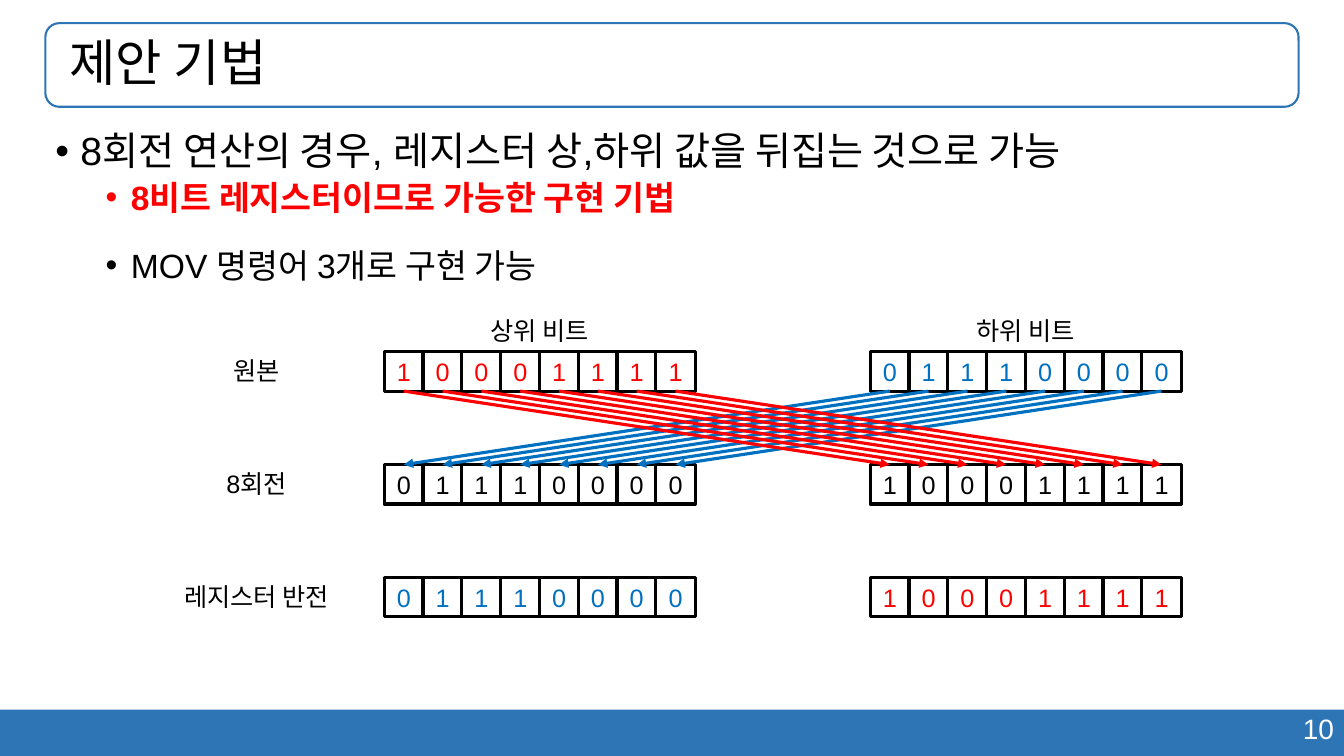
from dataclasses import dataclass
from lxml import etree
from pptx import Presentation
from pptx import util as u
from pptx.dml.color import RGBColor
from pptx.enum import shapes, text
from pptx.oxml import ns

KIND = shapes.MSO_SHAPE
SIDE = text.PP_ALIGN
MID = text.MSO_ANCHOR.MIDDLE
TOP = text.MSO_ANCHOR.TOP


@dataclass(frozen=True)
class Theme:
    font: str = "Arial"
    black: str = "000000"
    white: str = "FFFFFF"
    red: str = "FF0000"
    blue: str = "0070C0"
    bar: str = "2E75B6"
    title: int = 36
    main: int = 28
    sub: int = 24
    page: int = 20
    label: int = 18
    thin: float = 1.5
    thick: float = 2.25


def rgb(code):
    return RGBColor.from_string(code)


def add(node, tag, **attrs):
    return etree.SubElement(node, ns.qn(tag), **attrs)


def write(para, words, *, font, size, color, bold=False, align=SIDE.LEFT,
          gap=0, space=1.0, indent=None):
    para.alignment = align
    para.line_spacing = space
    para.space_before = u.Pt(gap)
    if indent is not None:
        props = para._p.get_or_add_pPr()
        props.set("marL", str(u.Inches(indent)))
        props.set("indent", str(u.Inches(-0.25)))
        add(props, "a:buFont", typeface=font)
        add(props, "a:buChar", char="•")
    run = para.add_run()
    run.text = words
    run.font.name = font
    run.font.size = u.Pt(size)
    run.font.bold = bold
    run.font.color.rgb = rgb(color)


class Board:
    def __init__(self, slide, theme):
        self.slide = slide
        self.theme = theme

    def set_up(self, frame, anchor=TOP, side=0.1, edge=0.05):
        frame.word_wrap = True
        frame.auto_size = text.MSO_AUTO_SIZE.NONE
        frame.vertical_anchor = anchor
        frame.margin_left = frame.margin_right = u.Inches(side)
        frame.margin_top = frame.margin_bottom = u.Inches(edge)

    def shape(self, kind, box, fill=None, line=None, width=1):
        item = self.slide.shapes.add_shape(kind, *map(u.Inches, box))
        item.shadow.inherit = False
        if fill:
            item.fill.solid()
            item.fill.fore_color.rgb = rgb(fill)
        else:
            item.fill.background()
        if line:
            item.line.color.rgb = rgb(line)
            item.line.width = u.Pt(width)
        else:
            item.line.fill.background()
        return item

    def title(self, words, box):
        t = self.theme
        item = self.slide.shapes.title
        item.left, item.top, item.width, item.height = map(u.Inches, box)
        frame = item.text_frame
        self.set_up(frame, MID)
        frame.margin_left = u.Inches(0.24)
        write(frame.paragraphs[0], words, font=t.font, size=t.title,
              color=t.black, space=0.9)

    def text(self, box, *lines):
        frame = self.slide.shapes.add_textbox(*map(u.Inches, box)).text_frame
        self.set_up(frame)
        for i, (words, style) in enumerate(lines):
            para = frame.add_paragraph() if i else frame.paragraphs[0]
            base = dict(font=self.theme.font, size=self.theme.label,
                        color=self.theme.black)
            write(para, words, **(base | style))

    def label(self, words, box):
        self.text(box, (words, dict(align=SIDE.CENTER)))

    def cells(self, bits, left, top, color):
        t = self.theme
        for i, bit in enumerate(bits):
            box = (left + i * STEP, top, CELL, CELL)
            item = self.shape(KIND.RECTANGLE, box, t.white, t.black, t.thick)
            self.set_up(item.text_frame, MID, 0, 0)
            write(item.text_frame.paragraphs[0], bit, font=t.font,
                  size=t.label, color=color, align=SIDE.CENTER)

    def arrow(self, start, end, color):
        item = self.slide.shapes.add_connector(
            shapes.MSO_CONNECTOR.STRAIGHT, *map(u.Inches, start + end))
        item.line.color.rgb = rgb(color)
        item.line.width = u.Pt(self.theme.thick)
        props = item._element.spPr
        add(props.find(ns.qn("a:ln")), "a:tailEnd", type="triangle")
        add(props, "a:effectLst")


CELL, STEP = 0.39, 0.385
HIGH, LOW = 3.81, 8.63
ROWS = (3.49, 4.61, 5.73)
UPPER, LOWER = "10001111", "01110000"
HEAD = (0.45, 0.23, 12.43, 0.83)


def main():
    deck = Presentation()
    deck.slide_width, deck.slide_height = u.Inches(13.33), u.Inches(7.5)
    t = Theme()
    board = Board(deck.slides.add_slide(deck.slide_layouts[5]), t)

    board.shape(KIND.RECTANGLE, (0, 7.04, 13.33, 0.46), t.bar)
    board.text((9.43, 7.01, 3.9, 0.44),
               ("10", dict(size=t.page, color=t.white, align=SIDE.RIGHT)))
    board.shape(KIND.ROUNDED_RECTANGLE, HEAD, line=t.bar, width=t.thin)
    board.title("제안 기법", HEAD)
    board.text(
        (0.45, 1.26, 12.43, 1.75),
        ("8회전 연산의 경우, 레지스터 상,하위 값을 뒤집는 것으로 가능",
         dict(size=t.main, space=0.9, indent=0.25)),
        ("8비트 레지스터이므로 가능한 구현 기법",
         dict(size=t.sub, color=t.red, bold=True, gap=5, space=0.9, indent=0.75)),
        ("MOV 명령어 3개로 구현 가능",
         dict(size=t.sub, gap=5, space=1.5, indent=0.75)))

    for words, left in (("상위 비트", HIGH), ("하위 비트", LOW)):
        board.label(words, (left + 0.46, 3.08, 2.16, 0.4))

    rows = (("원본", UPPER, LOWER, t.red, t.blue),
            ("8회전", LOWER, UPPER, t.black, t.black),
            ("레지스터 반전", LOWER, UPPER, t.blue, t.red))
    for top, (words, first, second, hue, other) in zip(ROWS, rows):
        board.label(words, (1.62, top - 0.01, 1.85, 0.4))
        board.cells(first, HIGH, top, hue)
        board.cells(second, LOW, top, other)

    for start, end, color in ((LOW, HIGH, t.blue), (HIGH, LOW, t.red)):
        for i in range(len(UPPER)):
            mid = CELL / 2 + i * STEP
            board.arrow((start + mid, ROWS[0] + CELL), (end + mid, ROWS[1]), color)

    deck.save("out.pptx")


if __name__ == "__main__":
    main()
